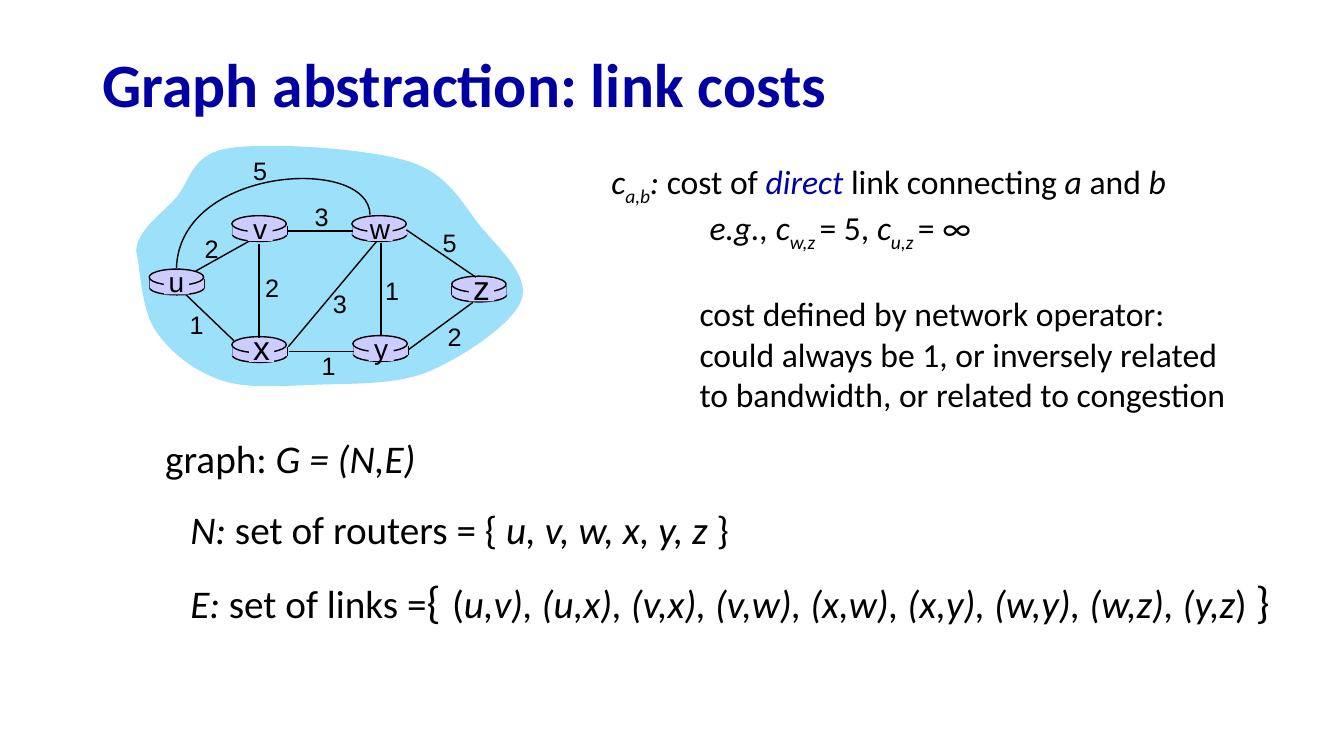
import pptx
import pptx.util
import pptx.dml.color
import pptx.oxml.ns
import pptx.enum.shapes
import pptx.enum.text
from lxml import etree

prs = pptx.Presentation()
prs.slide_width = pptx.util.Inches(13.33)
prs.slide_height = pptx.util.Inches(7.5)
s = prs.slides.add_slide(prs.slide_layouts[6])

# Grid: 75 rows of equal height, with columns as wide as the rows are high
U = prs.slide_height / 75
SHAPE = pptx.enum.shapes.MSO_SHAPE
STRAIGHT = pptx.enum.shapes.MSO_CONNECTOR.STRAIGHT
ALIGN = pptx.enum.text.PP_ALIGN
ANCHOR = pptx.enum.text.MSO_ANCHOR
FIT = pptx.enum.text.MSO_AUTO_SIZE.SHAPE_TO_FIT_TEXT
rgb = pptx.dml.color.RGBColor.from_string
qn = pptx.oxml.ns.qn
BLACK, LILAC, SKY, NAVY = "000000", "CCCCFF", "9CE0FA", "0000A3"


def paint(sp, fill=None, line=None):
    """Set fill and line, and drop the theme shadow."""
    if fill:
        sp.fill.solid()
        sp.fill.fore_color.rgb = rgb(fill)
    elif hasattr(sp, "fill"):
        sp.fill.background()
    if line:
        sp.line.color.rgb = rgb(line)
        sp.line.width = pptx.util.Pt(1)
    else:
        sp.line.fill.background()
    etree.SubElement(sp._element.spPr, qn("a:effectLst"))


def text(box, paras, size, font="Calibri", wrap=False):
    """Add a text box; each paragraph is (format, indent in columns, runs)."""
    tf = s.shapes.add_textbox(*[round(v * U) for v in box]).text_frame
    tf.word_wrap, tf.auto_size = wrap, FIT
    for n, (fmt, indent, runs) in enumerate(paras):
        p = tf.add_paragraph() if n else tf.paragraphs[0]
        for key, value in fmt.items():
            setattr(p, key, value)
        if indent:
            p._p.get_or_add_pPr().set("marL", str(round(indent * U)))
        for words, look in runs:
            r = p.add_run()
            r.text = words
            look = {"name": font, "size": size, "color": BLACK, **look}
            r.font.color.rgb = rgb(look.pop("color"))
            r.font.size = pptx.util.Pt(look.pop("size"))
            if look.pop("sub", False):
                r._r.get_or_add_rPr().set("baseline", "-25000")
            for key, value in look.items():
                setattr(r.font, key, value)
    return tf


# Run formats
UP, IT = {}, {"italic": True}
SUB = {"italic": True, "sub": True}
CENTRE = {"alignment": ALIGN.CENTER}

# Title
tf = text((9.2, 3.8, 75, 9.8), [({"line_spacing": 0.9}, 0, [
    ("Graph abstraction: link costs", {"bold": True, "color": NAVY})])], 44, wrap=True)
tf.auto_size = pptx.enum.text.MSO_AUTO_SIZE.NONE
tf.vertical_anchor = ANCHOR.MIDDLE

# Curves: start point, then Bezier segments of two handles and an end point
cloud = [(13.5, 24.9),
         (13.6, 22.9), (15.8, 21.4), (17.4, 19.7), (18.9, 18), (18.9, 15.3), (22.7, 14.7),
         (26.6, 14.1), (36.3, 14.7), (40.5, 16), (44.6, 17.3), (45.8, 20.2), (47.7, 22.5),
         (49.6, 24.8), (52.6, 27.4), (51.7, 29.8), (50.8, 32.2), (45.8, 35.5), (42.4, 36.9),
         (38.9, 38.3), (34.2, 38), (30.8, 38.2), (27.3, 38.3), (24.2, 38.6), (21.6, 37.6),
         (19.1, 36.7), (16.7, 34.8), (15.3, 32.6), (14, 30.5), (13.9, 26.5), (13.5, 24.9)]
arc_u_w = [(36.7, 21.3), (36.6, 15.4), (17.8, 16.5), (17.5, 26.6)]
outlines = []
for nodes, closed in ((cloud, True), (arc_u_w, False)):
    fb = s.shapes.build_freeform(nodes[0][0] * U, nodes[0][1] * U)
    fb.add_line_segments([(x * U, y * U) for x, y in nodes[1:]], close=closed)
    outlines.append(fb)
cloud_sp = outlines[0].convert_to_shape()
paint(cloud_sp, SKY)

# Links, as end points
links = {"uv": (19.4, 26.9, 25.3, 23.6), "wy": (37.8, 24.1, 37.8, 33.2),
         "vx": (25.7, 24.2, 25.7, 33.5), "xw": (28.6, 34.4, 37.4, 23.9),
         "yz": (40.5, 34.7, 46.9, 30), "xy": (35.1, 34.9, 28.7, 34.9),
         "ux": (23.2, 33.8, 18.4, 29.2), "vw": (35, 22.9, 28.6, 22.9),
         "wz": (47.2, 27.5, 40.3, 22.8)}
# Routers: left and top of the lid, then left, top and width of the name, name size
routers = {"u": (14.8, 26.7, 15.7, 25.8, 3.6, 20), "x": (23, 33.4, 24.1, 31.9, 3.7, 24),
           "v": (23, 21.4, 24.1, 20.5, 3.4, 20), "w": (34.9, 21.4, 35.7, 20.5, 4, 20),
           "y": (35, 33.3, 36.1, 32.4, 3.4, 20), "z": (44.8, 27.4, 45.9, 26, 3.7, 24)}
WIDE = 5.4

# The u-v link runs behind the routers
paint(s.shapes.add_connector(STRAIGHT, *[round(v * U) for v in links.pop("uv")]), line=BLACK)

# Router bodies: base, two sides, band, lid
for x, y, *_ in routers.values():
    base = [round(v * U) for v in (x + 0.05, y + 1.15, WIDE, 1.4)]
    paint(s.shapes.add_shape(SHAPE.OVAL, *base), LILAC, BLACK)
    for side in (x + 0.05, x + 0.05 + WIDE):
        ends = [round(v * U) for v in (side, y + 1, side, y + 1.9)]
        paint(s.shapes.add_connector(STRAIGHT, *ends), line=BLACK)
    band = [round(v * U) for v in (x + 0.05, y + 1, WIDE, 0.9)]
    paint(s.shapes.add_shape(SHAPE.RECTANGLE, *band), LILAC)
    lid = [round(v * U) for v in (x, y, WIDE, 1.6)]
    paint(s.shapes.add_shape(SHAPE.OVAL, *lid), LILAC, BLACK)

# Remaining links and the curved one
for ends in links.values():
    paint(s.shapes.add_connector(STRAIGHT, *[round(v * U) for v in ends]), line=BLACK)
arc_sp = outlines[1].convert_to_shape()
paint(arc_sp, line=BLACK)

# Turn every three points of the outlines into one Bezier segment
for sp in (cloud_sp, arc_sp):
    steps = list(sp._element.iter(qn("a:lnTo")))
    for k in range(0, len(steps), 3):
        bend = etree.Element(qn("a:cubicBezTo"))
        steps[k].addprevious(bend)
        for step in steps[k:k + 3]:
            bend.append(step[0])
            step.getparent().remove(step)

# Router names on a plain patch
for name, (x, y, left, top, width, size) in routers.items():
    patch = [round(v * U) for v in (left + width / 2 - 1.25, y + 0.2, 2.5, 2.3)]
    paint(s.shapes.add_shape(SHAPE.RECTANGLE, *patch), LILAC)
    high = 4.3 if size == 20 else 5
    text((left, top, width, high), [(CENTRE, 0, [(name, UP)])], size, "Arial")

# Link costs
for cost, x, y in (("2", 19.3, 22.7), ("2", 25.3, 26.5), ("1", 17.8, 30.2), ("3", 32, 28.1),
                   ("1", 30.9, 34.3), ("1", 37.2, 26.8), ("2", 43.4, 31.4),
                   ("5", 42.9, 22.1), ("3", 30.2, 19.5), ("5", 24.1, 14.9)):
    text((x, y, 3.4, 4), [(CENTRE, 0, [(cost, UP)])], 18, "Arial")

# Definition of the graph
text((15.4, 42.6, 27.1, 10.4), [({}, 0, [("graph: ", UP), ("G = (N,E)", IT)])], 28)
text((17.9, 49.6, 55.9, 5.7), [({}, 0, [
    ("N: ", IT), ("set of routers = { ", UP), ("u, v, w, x, y, z ", IT), ("}", UP)])], 28)
text((17.9, 55.85, 110.2, 7.1), [({}, 0, [
    ("E: ", IT), ("set of links =", UP), ("{", {"size": 32}), (" ", {"size": 36}), ("(", UP),
    ("u,v), (u,x), (v,x), (v,w), (x,w), (x,y), (w,y), (w,z), (y,z", IT),
    (") ", UP), ("}", {"size": 32})])], 28)

# Meaning of the costs
text((59.65, 15.5, 64.4, 25.2), [
    ({}, 0, [("c", IT), ("a,b", SUB), (": ", IT), ("cost of ", UP),
             ("direct", {"italic": True, "color": "0000A8"}), (" link connecting ", UP),
             ("a", IT), (" and ", UP), ("b", IT)]),
    ({}, 9.75, [("e.g., c", IT), ("w,z ", SUB), ("= 5, ", UP), ("c", IT), ("u,z ", SUB),
                ("= ∞", UP)]),
    ({"space_before": pptx.util.Pt(28.8)}, 8.75, [
        ("cost defined by network operator: could always be 1, or inversely related "
         "to bandwidth, or related to congestion", UP)])], 24, wrap=True)

prs.save("out.pptx")
